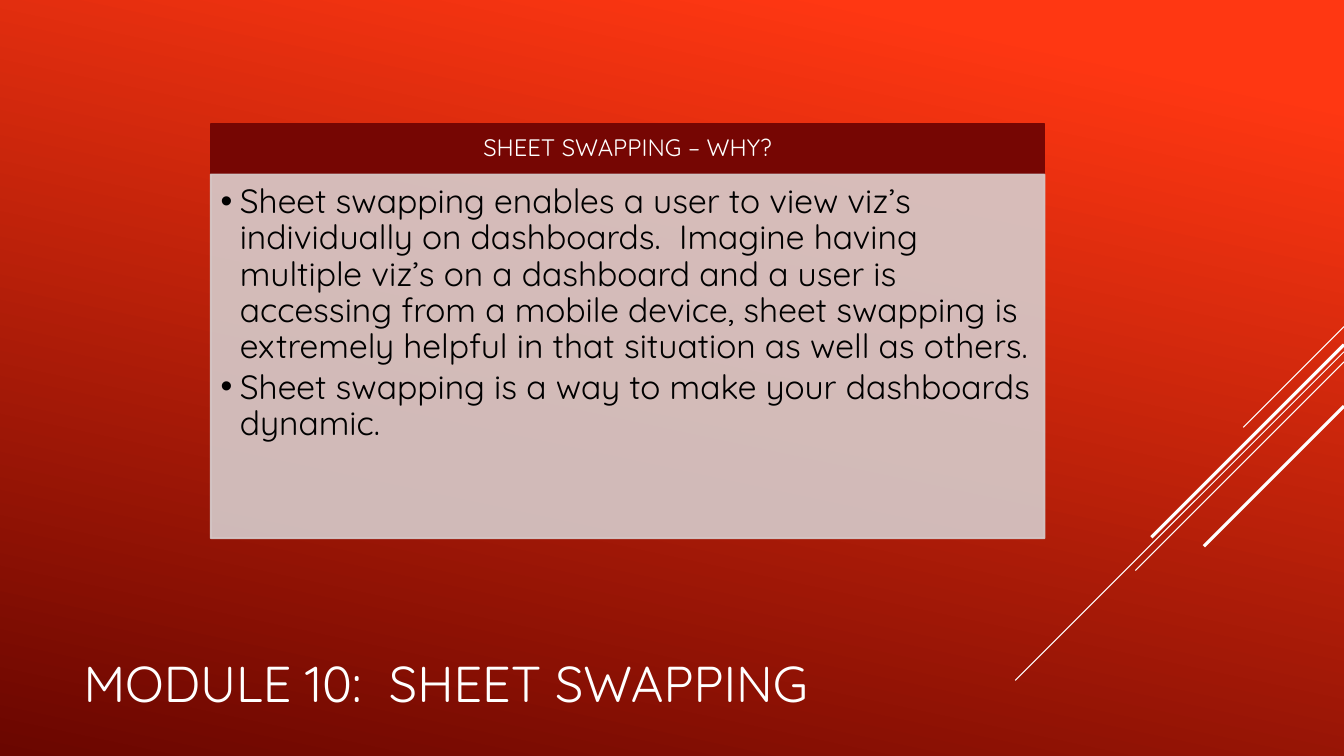
from pptx import Presentation
from pptx.dml.color import RGBColor
from pptx.enum.shapes import MSO_CONNECTOR, MSO_SHAPE
from pptx.enum.text import MSO_ANCHOR, PP_ALIGN
from pptx.oxml.ns import qn
from pptx.util import Inches, Pt
from lxml import etree

RECT = MSO_SHAPE.RECTANGLE
STRAIGHT = MSO_CONNECTOR.STRAIGHT
TOP, MIDDLE = MSO_ANCHOR.TOP, MSO_ANCHOR.MIDDLE
LEFT, CENTER = PP_ALIGN.LEFT, PP_ALIGN.CENTER

FONT = "Quicksand"
WHITE, BLACK = "FFFFFF", "000000"
BRIGHT_RED, DARK_RED = "FF3712", "6A0600"
HEADER_RED, PANEL_GREY = "760603", "D6CCCC"
SLIDE_W, SLIDE_H = 13.33, 7.5

TITLE = "MODULE 10:  SHEET SWAPPING"
HEADING = "SHEET SWAPPING – WHY?"
REASONS = [
    "Sheet swapping enables a user to view viz’s individually on dashboards.  "
    "Imagine having multiple viz’s on a dashboard and a user is accessing from a "
    "mobile device, sheet swapping is extremely helpful in that situation as well "
    "as others.",
    "Sheet swapping is a way to make your dashboards dynamic.",
]
# Diagonals from the right edge: start height, run to the lower left, width
DIAGONALS = [(3.24, 1.0, 0.75), (3.49, 3.26, 0.75), (3.59, 2.07, 0.75),
             (3.42, 1.91, 2.25), (4.03, 1.39, 2.25)]


def rgb(color):
    return RGBColor.from_string(color)


def set_text(sp, lines, size, color, anchor, align, insets):
    tf = sp.text_frame
    tf.word_wrap = True
    tf.vertical_anchor = anchor
    tf.margin_left, tf.margin_top, tf.margin_right, tf.margin_bottom = map(Inches, insets)
    tf.text = "\n".join(lines)
    for p in tf.paragraphs:
        p.alignment = align
        for r in p.runs:
            r.font.name = FONT
            r.font.size = Pt(size)
            r.font.color.rgb = rgb(color)
    return tf.paragraphs


def add_bullet(p, indent):
    pPr = p._p.get_or_add_pPr()
    pPr.set("marL", str(Inches(indent)))
    pPr.set("indent", str(-Inches(indent)))
    font = etree.SubElement(pPr, qn("a:buFont"))
    font.set("typeface", "Arial")
    etree.SubElement(pPr, qn("a:buChar")).set("char", "•")


def add_block(slide, x, y, w, h, color, opacity=100):
    sp = slide.shapes.add_shape(RECT, Inches(x), Inches(y), Inches(w), Inches(h))
    sp.shadow.inherit = False
    sp.fill.solid()
    sp.fill.fore_color.rgb = rgb(color)
    sp.line.color.rgb = rgb(color)
    sp.line.width = Pt(1.25)
    if opacity < 100:
        for clr in sp._element.spPr.iter(qn("a:srgbClr")):
            etree.SubElement(clr, qn("a:alpha")).set("val", str(opacity * 1000))
    return sp


def add_background(slide):
    fill = slide.background.fill
    fill.gradient()
    fill.gradient_angle = 360 - 102
    stops = [(0.1, BRIGHT_RED), (1.0, DARK_RED)]
    for stop, (position, color) in zip(fill.gradient_stops, stops):
        stop.position = position
        stop.color.rgb = rgb(color)


def add_diagonals(slide, right):
    for y, run, width in DIAGONALS:
        line = slide.shapes.add_connector(
            STRAIGHT, Inches(right), Inches(y), Inches(right - run), Inches(y + run))
        line.line.color.rgb = rgb(WHITE)
        line.line.width = Pt(width)
        etree.SubElement(line._element.spPr, qn("a:effectLst"))


def add_title(slide, x, y, w, h):
    box = slide.shapes.add_textbox(Inches(x), Inches(y), Inches(w), Inches(h))
    set_text(box, [TITLE], 36, WHITE, MIDDLE, LEFT, (0.1, 0.05, 0.1, 0.05))


def add_panel(slide, x, y, w, h, header_h=0.5):
    # Header bar
    header = add_block(slide, x, y, w, header_h, HEADER_RED)
    heading, = set_text(header, [HEADING], 17, WHITE, MIDDLE, CENTER,
                        (0.13, 0.08, 0.13, 0.08))
    heading.line_spacing = 0.9

    # Bulleted body
    body = add_block(slide, x, y + header_h, w, h - header_h, PANEL_GREY, 90)
    for p in set_text(body, REASONS, 24, BLACK, TOP, LEFT, (0.1, 0.1, 0.13, 0.15)):
        p.line_spacing = 0.9
        p.space_after = Pt(3)
        add_bullet(p, 0.19)


def main():
    prs = Presentation()
    prs.slide_width, prs.slide_height = Inches(SLIDE_W), Inches(SLIDE_H)
    slide = prs.slides.add_slide(prs.slide_layouts[6])
    add_background(slide)
    add_diagonals(slide, SLIDE_W)
    add_title(slide, 0.73, 6.29, 10.21, 0.95)
    add_panel(slide, 2.09, 1.23, 8.27, 4.11)
    prs.save("out.pptx")


if __name__ == "__main__":
    main()
